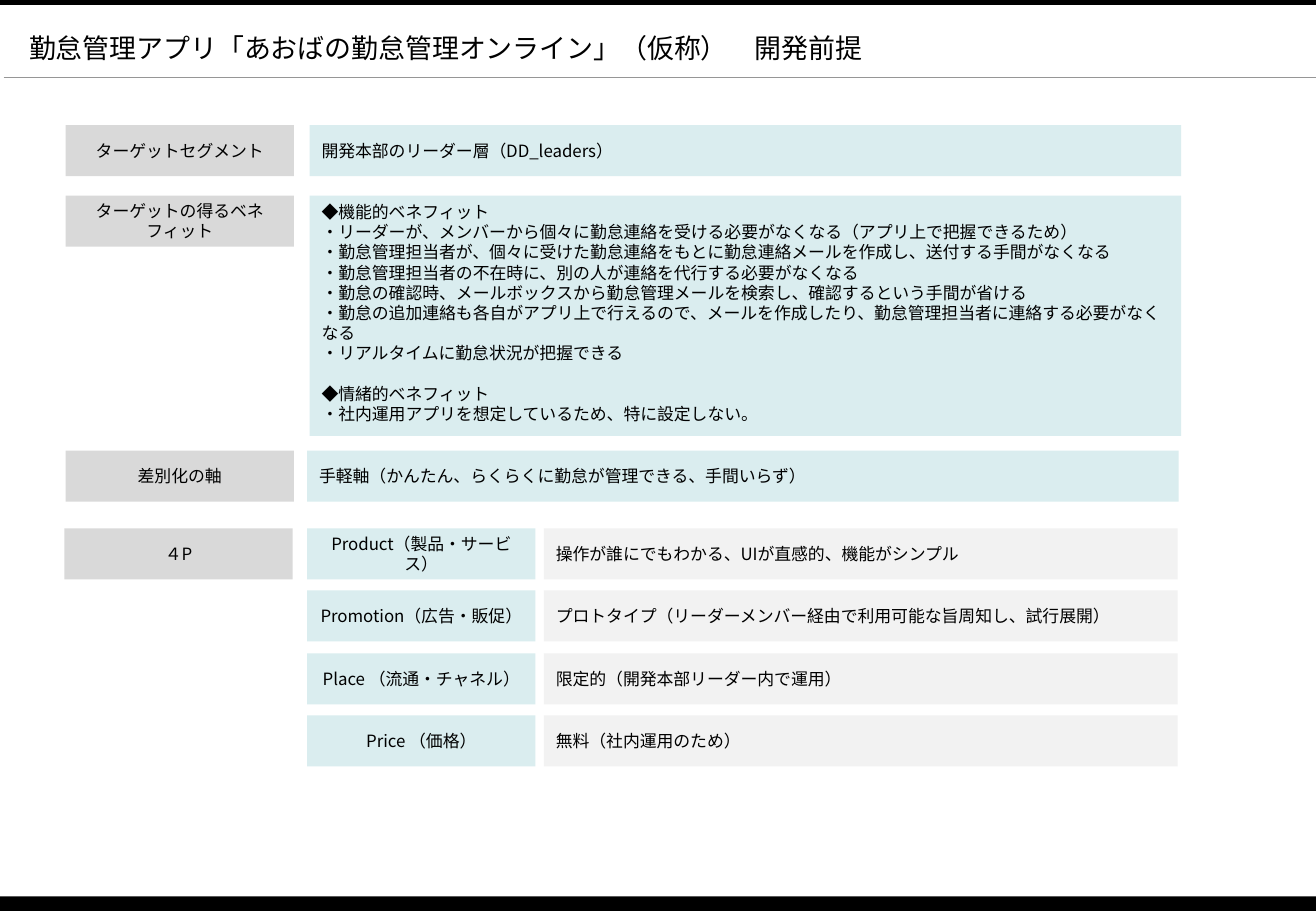
from lxml import etree
from pptx import Presentation
from pptx.dml.color import RGBColor
from pptx.enum.shapes import MSO_CONNECTOR, MSO_SHAPE
from pptx.enum.text import MSO_ANCHOR, MSO_AUTO_SIZE, PP_ALIGN
from pptx.oxml.ns import qn
from pptx.util import Inches, Pt

FONT = "Noto Sans CJK JP"
BLACK, GREY, TEAL, PALE = "000000", "D9D9D9", "DAEDEF", "F2F2F2"
ROW_HEIGHT = 0.42


def write(frame, lines, size, align, anchor=MSO_ANCHOR.MIDDLE, inset=(0.1, 0.05)):
    """Fill a text frame with one paragraph per line, in Latin and East Asian font alike."""
    margin_x, margin_y = map(Inches, inset)
    settings = {
        "word_wrap": True, "auto_size": MSO_AUTO_SIZE.NONE, "vertical_anchor": anchor,
        "margin_left": margin_x, "margin_right": margin_x,
        "margin_top": margin_y, "margin_bottom": margin_y,
    }
    for name, value in settings.items():
        setattr(frame, name, value)
    for index, line in enumerate(lines):
        paragraph = frame.paragraphs[0] if index == 0 else frame.add_paragraph()
        paragraph.alignment = align
        paragraph.line_spacing = Pt(size * 1.2)
        if index and line.startswith("◆"):
            paragraph.space_before = Pt(size * 1.2)
        run = paragraph.add_run()
        run.text = line
        run.font.size = Pt(size)
        run.font.name = FONT
        run.font.color.rgb = RGBColor.from_string(BLACK)
        east_asian = etree.SubElement(run._r.get_or_add_rPr(), qn("a:ea"))
        east_asian.set("typeface", FONT)


def add_box(left, top, width, height, fill):
    box = slide.shapes.add_shape(
        MSO_SHAPE.RECTANGLE, Inches(left), Inches(top), Inches(width), Inches(height))
    box.shadow.inherit = False
    box.fill.solid()
    box.fill.fore_color.rgb = RGBColor.from_string(fill)
    box.line.fill.background()
    return box


presentation = Presentation()
presentation.slide_width = Inches(10.84)
presentation.slide_height = Inches(7.5)
slide = presentation.slides.add_slide(presentation.slide_layouts[5])

# Frame bars, title and rule
add_box(0, 0, 10.84, 0.04, BLACK)
add_box(0, 7.38, 10.84, 0.12, BLACK)

title = slide.shapes.title
title.left, title.top = Inches(0.16), Inches(0.28)
title.width, title.height = Inches(9.15), Inches(0.22)
write(title.text_frame, ["勤怠管理アプリ「あおばの勤怠管理オンライン」（仮称）　開発前提"],
      16, PP_ALIGN.LEFT, inset=(0.08, 0.04))

title_rule = slide.shapes.add_connector(
    MSO_CONNECTOR.STRAIGHT, Inches(0.03), Inches(0.64), Inches(10.84), Inches(0.64))
title_rule.line.color.rgb = RGBColor.from_string("969696")
title_rule.line.width = Pt(0.25)
etree.SubElement(title_rule._element.spPr, qn("a:effectLst"))

# Headings on the left
headings = [
    (0.54, 1.03, "ターゲットセグメント"),
    (0.54, 1.61, "ターゲットの得るベネフィット"),
    (0.54, 3.71, "差別化の軸"),
    (0.53, 4.35, "４P"),
]
for left, top, heading in headings:
    box = add_box(left, top, 1.88, ROW_HEIGHT, GREY)
    write(box.text_frame, [heading], 10, PP_ALIGN.CENTER)

# Segment, benefits and differentiation
benefits = [
    "◆機能的ベネフィット",
    "・リーダーが、メンバーから個々に勤怠連絡を受ける必要がなくなる（アプリ上で把握できるため）",
    "・勤怠管理担当者が、個々に受けた勤怠連絡をもとに勤怠連絡メールを作成し、送付する手間がなくなる",
    "・勤怠管理担当者の不在時に、別の人が連絡を代行する必要がなくなる",
    "・勤怠の確認時、メールボックスから勤怠管理メールを検索し、確認するという手間が省ける",
    "・勤怠の追加連絡も各自がアプリ上で行えるので、メールを作成したり、勤怠管理担当者に連絡する必要がなくなる",
    "・リアルタイムに勤怠状況が把握できる",
    "◆情緒的ベネフィット",
    "・社内運用アプリを想定しているため、特に設定しない。",
]
answers = [
    (2.55, 1.03, ROW_HEIGHT, MSO_ANCHOR.MIDDLE, ["開発本部のリーダー層（DD_leaders）"]),
    (2.55, 1.61, 1.98, MSO_ANCHOR.TOP, benefits),
    (2.53, 3.71, ROW_HEIGHT, MSO_ANCHOR.MIDDLE,
     ["手軽軸（かんたん、らくらくに勤怠が管理できる、手間いらず）"]),
]
for left, top, height, anchor, lines in answers:
    box = add_box(left, top, 7.18, height, TEAL)
    write(box.text_frame, lines, 10, PP_ALIGN.LEFT, anchor)

# The four Ps
four_ps = [
    (4.35, "Product（製品・サービス）", "操作が誰にでもわかる、UIが直感的、機能がシンプル"),
    (4.86, "Promotion（広告・販促）",
     "プロトタイプ（リーダーメンバー経由で利用可能な旨周知し、試行展開）"),
    (5.38, "Place （流通・チャネル）", "限定的（開発本部リーダー内で運用）"),
    (5.89, "Price （価格）", "無料（社内運用のため）"),
]
for top, element, policy in four_ps:
    element_box = add_box(2.53, top, 1.88, ROW_HEIGHT, TEAL)
    write(element_box.text_frame, [element], 10, PP_ALIGN.CENTER)
    policy_box = add_box(4.48, top, 5.22, ROW_HEIGHT, PALE)
    write(policy_box.text_frame, [policy], 10, PP_ALIGN.LEFT)

presentation.save("out.pptx")
